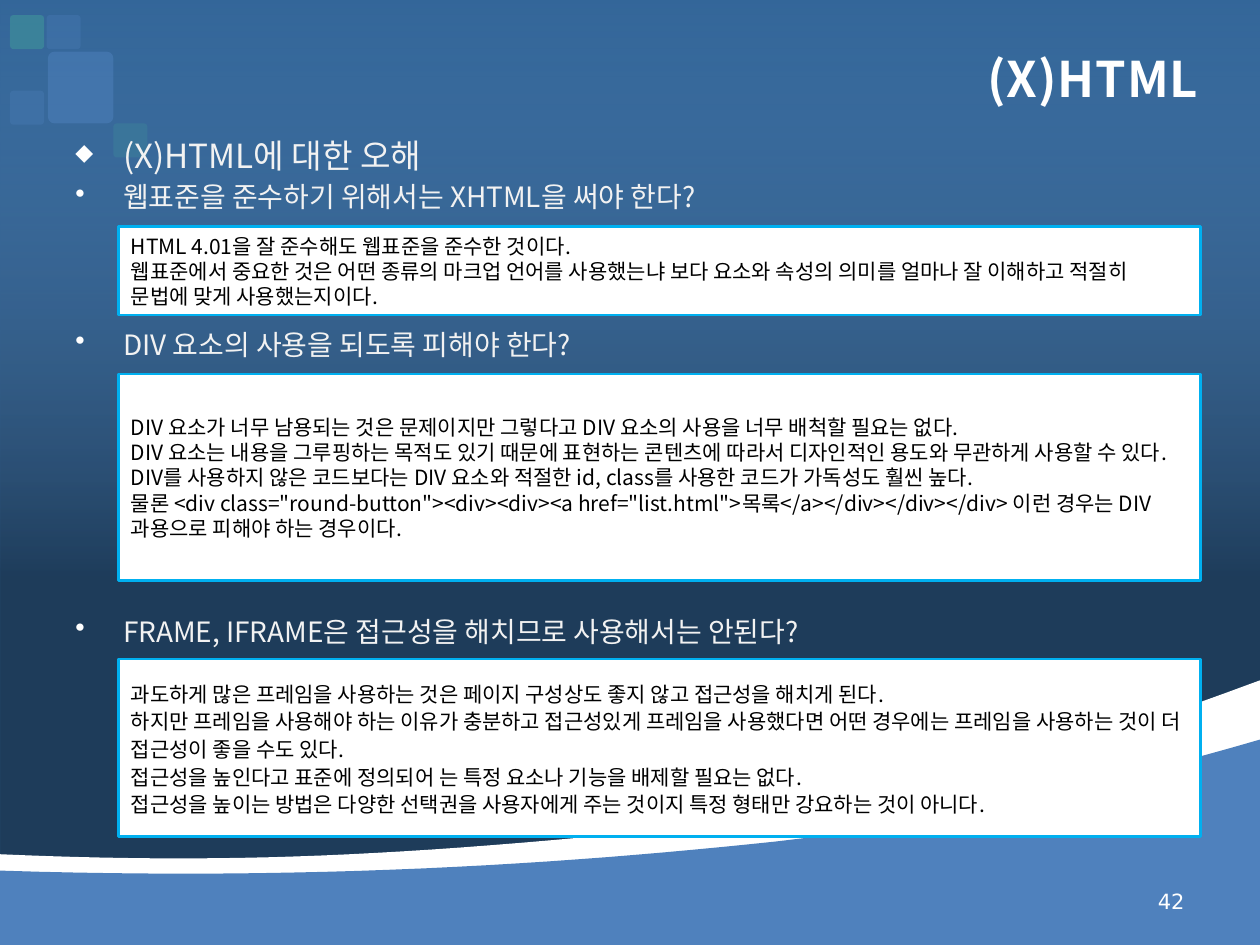
"""Builds the slide on common misunderstandings about (X)HTML."""
from lxml import etree
from pptx import Presentation
from pptx.dml.color import RGBColor
from pptx.enum.shapes import MSO_SHAPE
from pptx.enum.text import MSO_ANCHOR, PP_ALIGN
from pptx.oxml.ns import qn
from pptx.util import Inches, Pt

RECTANGLE = MSO_SHAPE.RECTANGLE
ROUNDED = MSO_SHAPE.ROUNDED_RECTANGLE
MIDDLE = MSO_ANCHOR.MIDDLE
LEFT, RIGHT = PP_ALIGN.LEFT, PP_ALIGN.RIGHT
KOREAN_FONT = "Noto Sans CJK KR"
NUMBER_FONT = "DejaVu Sans"
WHITE, BLACK, PALE = "FFFFFF", "000000", "F2F2F2"
BLUE, TEAL, CYAN = "4F81BD", "3F949A", "00B0F0"
SKY = "336699"

GRADIENT = [(0, "8DB3E2", 0), (0.61, BLACK, 40)]
WHITE_WAVE = [
    [(0, 6.78), (1.61, 6.85), (2.93, 6.82), (5.21, 6.59)],
    [(5.21, 6.59), (7.49, 6.36), (9.48, 5.59), (10, 5.4)],
]
BLUE_WAVE = [
    [(0, 6.91), (2.46, 6.99), (4.45, 6.86), (6.15, 6.68)],
    [(6.15, 6.68), (7.84, 6.49), (9.59, 5.99), (10, 5.87)],
]
TILES = [
    (0.37, 0.12, 0.27, 0.27, BLUE, 30),
    (0.08, 0.72, 0.27, 0.27, BLUE, 30),
    (0.08, 0.12, 0.27, 0.27, TEAL, 60),
    (0.9, 0.98, 0.27, 0.27, TEAL, 30),
    (0.38, 0.41, 0.52, 0.57, BLUE, 50),
]
HEADINGS = [
    (1.23, "◆", 70, "(X)HTML에 대한 오해", 19),
    (1.56, "•", 100, "웹표준을 준수하기 위해서는 XHTML을 써야 한다?", 16),
    (2.73, "•", 100, "DIV 요소의 사용을 되도록 피해야 한다?", 16),
    (5.01, "•", 100, "FRAME, IFRAME은 접근성을 해치므로 사용해서는 안된다?", 16),
]
ANSWERS = [
    (1.8, 0.7, 1.0, [
        "HTML 4.01을 잘 준수해도 웹표준을 준수한 것이다.",
        "웹표준에서 중요한 것은 어떤 종류의 마크업 언어를 사용했는냐 보다 "
        "요소와 속성의 의미를 얼마나 잘 이해하고 적절히 문법에 맞게 사용했는지이다.",
    ]),
    (2.97, 1.64, 1.0, [
        "DIV 요소가 너무 남용되는 것은 문제이지만 그렇다고 DIV 요소의 사용을 너무 배척할 필요는 없다.",
        "DIV 요소는 내용을 그루핑하는 목적도 있기 때문에 표현하는 콘텐츠에 따라서 "
        "디자인적인 용도와 무관하게 사용할 수 있다.",
        "DIV를 사용하지 않은 코드보다는 DIV 요소와 적절한 id, class를 사용한 코드가 가독성도 훨씬 높다.",
        '물론 <div class="round-button"><div><div><a href="list.html">목록</a></div></div></div> '
        "이런 경우는 DIV 과용으로 피해야 하는 경우이다.",
    ]),
    (5.23, 1.41, 1.1, [
        "과도하게 많은 프레임을 사용하는 것은 페이지 구성상도 좋지 않고 접근성을 해치게 된다.",
        "하지만 프레임을 사용해야 하는 이유가 충분하고 접근성있게 프레임을 사용했다면 "
        "어떤 경우에는 프레임을 사용하는 것이 더 접근성이 좋을 수도 있다.",
        "접근성을 높인다고 표준에 정의되어 는 특정 요소나 기능을 배제할 필요는 없다.",
        "접근성을 높이는 방법은 다양한 선택권을 사용자에게 주는 것이지 특정 형태만 강요하는 것이 아니다.",
    ]),
]


def color(value):
    """Turn a hex string into a colour."""
    return RGBColor.from_string(value)


def add_child(parent, tag, name, value):
    """Append an element with one attribute."""
    etree.SubElement(parent, qn(tag)).set(name, str(value))


def curve_points(curve, steps=24):
    """Return points along a cubic curve, without its first point."""
    points = []
    for step in range(1, steps + 1):
        t = step / steps
        weights = ((1 - t) ** 3, 3 * t * (1 - t) ** 2, 3 * t * t * (1 - t), t ** 3)
        points.append(tuple(
            Inches(sum(weight * point[axis] for weight, point in zip(weights, curve)))
            for axis in (0, 1)
        ))
    return points


class SlideBuilder:
    """Holds the style and the current slide."""

    def __init__(self, slide, font_name):
        """Keep the slide and its main font."""
        self.slide = slide
        self.font_name = font_name

    def style(self, paragraph, size, hex_color, align=LEFT, font_name=None):
        """Set the font and alignment of a paragraph."""
        name = font_name or self.font_name
        paragraph.alignment = align
        font = paragraph.font
        font.size = Pt(size)
        font.name = name
        font.color.rgb = color(hex_color)
        properties = paragraph._p.pPr.find(qn("a:defRPr"))
        properties.set("kern", "0")
        add_child(properties, "a:ea", "typeface", name)
        return properties

    def shape(self, kind, left, top, width, height, fill=None):
        """Add a plain shape without line or shadow."""
        shape = self.slide.shapes.add_shape(
            kind, Inches(left), Inches(top), Inches(width), Inches(height))
        self.paint(shape, fill)
        return shape

    def paint(self, shape, fill):
        """Remove line and shadow and apply a solid fill."""
        shape.shadow.inherit = False
        shape.line.fill.background()
        if fill:
            shape.fill.solid()
            shape.fill.fore_color.rgb = color(fill)

    def fade(self, shape, opacities):
        """Set the opacity of each fill colour of a shape."""
        values = shape._element.spPr.iter(qn("a:srgbClr"))
        for value, opacity in zip(list(values), opacities):
            add_child(value, "a:alpha", "val", opacity * 1000)

    def backdrop(self, width, height):
        """Add the vertical gradient behind everything."""
        background = self.slide.background.fill
        background.solid()
        background.fore_color.rgb = color(SKY)
        shape = self.shape(RECTANGLE, 0, 0, width, height)
        shape.fill.gradient()
        shape.fill.gradient_angle = 270
        for stop, (position, value, _) in zip(shape.fill.gradient_stops, GRADIENT):
            stop.position = position
            stop.color.rgb = color(value)
        self.fade(shape, [opacity for _, _, opacity in GRADIENT])

    def wave(self, curves, fill):
        """Add a curved band that reaches the bottom of the slide."""
        left, top = curves[0][0]
        builder = self.slide.shapes.build_freeform(Inches(left), Inches(top))
        points = [point for curve in curves for point in curve_points(curve)]
        corners = [(Inches(10), Inches(7.5)), (0, Inches(7.5))]
        builder.add_line_segments(points + corners, close=True)
        self.paint(builder.convert_to_shape(), fill)

    def tile(self, left, top, width, height, fill, opacity):
        """Add a translucent rounded tile."""
        shape = self.shape(ROUNDED, left, top, width, height, fill)
        shape.adjustments[0] = 0.1
        self.fade(shape, [opacity])

    def title(self, text):
        """Fill the title placeholder and bring it in front of the backdrop."""
        title = self.slide.shapes.title
        title._element.getparent().append(title._element)
        title.left, title.top = Inches(0.5), Inches(0.3)
        title.width, title.height = Inches(9.11), Inches(0.64)
        title.text_frame.text = text
        title.text_frame.vertical_anchor = MIDDLE
        paragraph = title.text_frame.paragraphs[0]
        self.style(paragraph, 28, WHITE, RIGHT).set("spc", "50")
        paragraph.font.bold = True

    def text(self, left, top, width, height, text):
        """Add a one-line text box and return its paragraph."""
        box = self.slide.shapes.add_textbox(
            Inches(left), Inches(top), Inches(width), Inches(height))
        frame = box.text_frame
        frame.word_wrap = True
        frame.vertical_anchor = MIDDLE
        frame.text = text
        return frame.paragraphs[0]

    def heading(self, middle, bullet, bullet_size, text, size):
        """Add a bulleted heading centred on a height."""
        paragraph = self.text(0.5, middle - 0.2, 9.11, 0.4, text)
        properties = paragraph._p.get_or_add_pPr()
        properties.set("marL", str(Inches(0.38)))
        properties.set("indent", str(Inches(-0.38)))
        add_child(etree.SubElement(properties, qn("a:buClr")), "a:srgbClr", "val", WHITE)
        add_child(properties, "a:buSzPct", "val", bullet_size * 1000)
        add_child(properties, "a:buChar", "char", bullet)
        self.style(paragraph, size, PALE)

    def answer(self, top, height, spacing, lines):
        """Add a white framed box with an answer."""
        shape = self.shape(RECTANGLE, 0.94, top, 8.59, height, WHITE)
        shape.line.color.rgb = color(CYAN)
        shape.line.width = Pt(1.5)
        frame = shape.text_frame
        frame.word_wrap = True
        frame.vertical_anchor = MIDDLE
        frame.text = "\n".join(lines)
        for paragraph in frame.paragraphs:
            paragraph.line_spacing = spacing
            self.style(paragraph, 12, BLACK)


def main():
    """Build and save the slide."""
    presentation = Presentation()
    presentation.slide_width, presentation.slide_height = Inches(10), Inches(7.5)
    slide = presentation.slides.add_slide(presentation.slide_layouts[5])
    builder = SlideBuilder(slide, KOREAN_FONT)
    builder.backdrop(10, 7.5)
    builder.wave(WHITE_WAVE, WHITE)
    builder.wave(BLUE_WAVE, BLUE)
    for tile in TILES:
        builder.tile(*tile)
    builder.title("(X)HTML")
    for heading in HEADINGS:
        builder.heading(*heading)
    for answer in ANSWERS:
        builder.answer(*answer)
    number = builder.text(7.17, 6.95, 2.33, 0.4, "42")
    builder.style(number, 12, WHITE, RIGHT, NUMBER_FONT)
    presentation.save("out.pptx")


if __name__ == "__main__":
    main()
